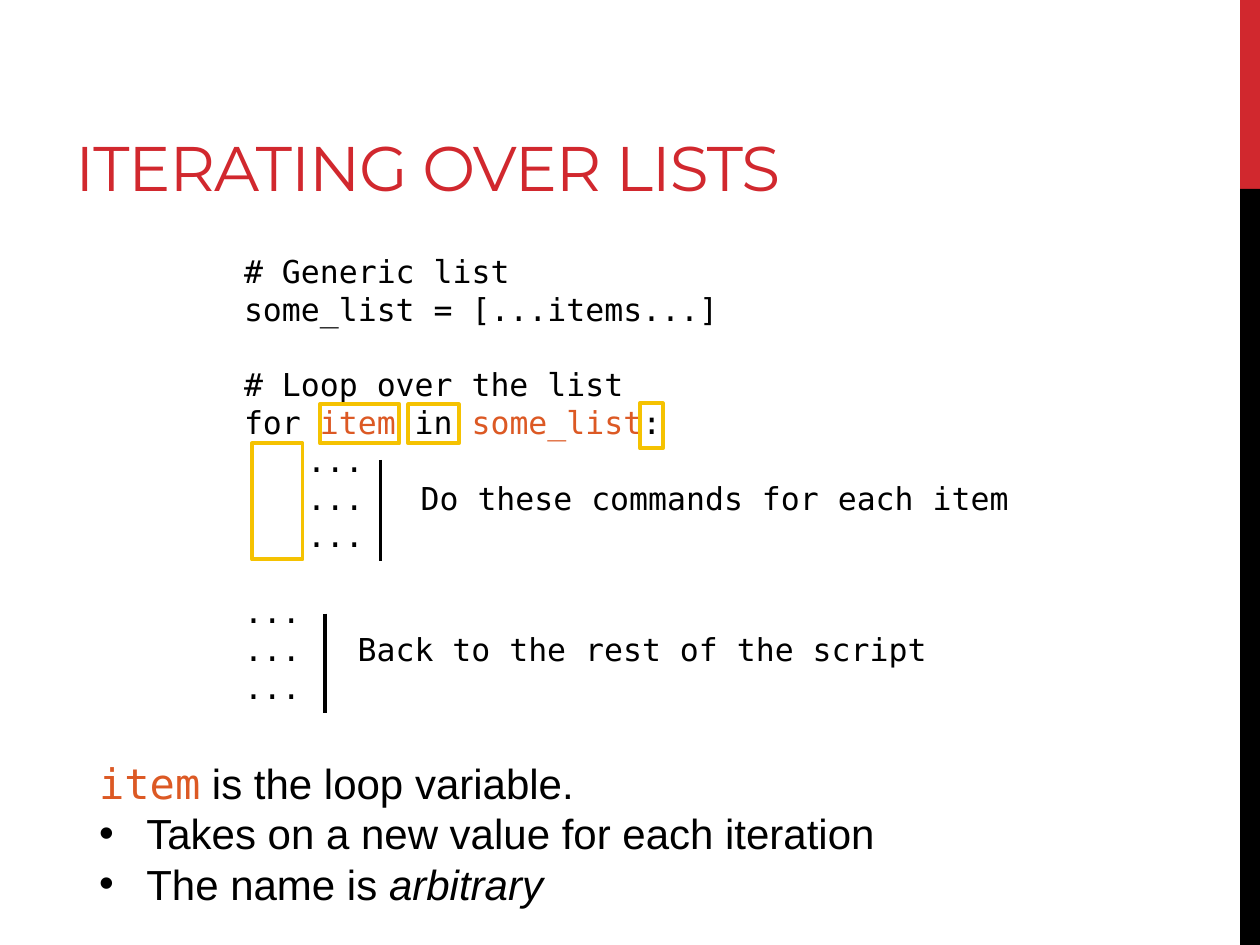
from dataclasses import dataclass

from lxml.etree import SubElement
from pptx import Presentation
from pptx.dml.color import RGBColor as RGB
from pptx.enum.shapes import MSO_CONNECTOR as Connector, MSO_SHAPE as Shape
from pptx.enum.text import MSO_ANCHOR as Anchor
from pptx.oxml.ns import qn
from pptx.util import Cm, Pt


@dataclass(frozen=True)
class Theme:
    red: RGB = RGB(0xD1, 0x28, 0x2E)
    black: RGB = RGB(0, 0, 0)
    orange: RGB = RGB(0xDC, 0x59, 0x24)
    yellow: RGB = RGB(0xF5, 0xC2, 0x01)
    title_font: str = "Montserrat"
    code_font: str = "DejaVu Sans Mono"
    body_font: str = "Arial"
    title_size: float = 36
    code_size: float = 18
    body_size: float = 24
    line_ratio: float = 1.2
    line_width: float = 2.25


class SlideBuilder:
    def __init__(self, slide, theme):
        self.slide = slide
        self.theme = theme

    def bar(self, left, top, width, height, color):
        shape = self.rectangle(left, top, width, height)
        shape.fill.solid()
        shape.fill.fore_color.rgb = color
        shape.line.fill.background()

    def highlight(self, left, top, width, height):
        shape = self.rectangle(left, top, width, height)
        shape.fill.background()
        shape.line.color.rgb = self.theme.yellow
        shape.line.width = Pt(self.theme.line_width)

    def rectangle(self, left, top, width, height):
        shape = self.slide.shapes.add_shape(
            Shape.RECTANGLE, Cm(left), Cm(top), Cm(width), Cm(height))
        shape.shadow.inherit = False
        return shape

    def bracket(self, x, top, bottom):
        line = self.slide.shapes.add_connector(
            Connector.STRAIGHT, Cm(x), Cm(top), Cm(x), Cm(bottom))
        line.line.color.rgb = self.theme.black
        line.line.width = Pt(self.theme.line_width)
        SubElement(line._element.spPr, qn("a:effectLst"))

    def text_box(self, left, top, width, height):
        box = self.slide.shapes.add_textbox(
            Cm(left), Cm(top), Cm(width), Cm(height))
        box.text_frame.word_wrap = True
        return box.text_frame

    def style(self, run, font, size, color):
        run.font.name = font
        run.font.size = Pt(size)
        run.font.color.rgb = color

    def title(self, text, *place):
        frame = self.text_box(*place)
        frame.vertical_anchor = Anchor.BOTTOM
        frame.text = text
        run = frame.paragraphs[0].runs[0]
        self.style(run, self.theme.title_font, self.theme.title_size,
                   self.theme.red)
        run.font._element.set("spc", "-60")

    def paragraph(self, frame, parts, font, size):
        """Add a line of plain strings and (text, font, color, italic) parts."""
        first = frame.paragraphs[0]
        paragraph = frame.add_paragraph() if first.runs else first
        paragraph.line_spacing = Pt(size * self.theme.line_ratio)
        for part in parts:
            if isinstance(part, str):
                part = (part, font, self.theme.black, False)
            text, part_font, color, italic = part
            run = paragraph.add_run()
            run.text = text
            self.style(run, part_font, size, color)
            if italic:
                run.font.italic = True
        return paragraph

    def code(self, blocks, *place):
        """Write blocks of code, one empty line apart; lines carry tab stops."""
        frame = self.text_box(*place)
        size = self.theme.code_size
        for block_number, block in enumerate(blocks):
            for line_number, (parts, tabs) in enumerate(block):
                paragraph = self.paragraph(
                    frame, parts, self.theme.code_font, size)
                if block_number and not line_number:
                    paragraph.space_before = Pt(size * self.theme.line_ratio)
                if tabs:
                    tab_list = SubElement(
                        paragraph._p.get_or_add_pPr(), qn("a:tabLst"))
                    for position in tabs:
                        SubElement(tab_list, qn("a:tab"),
                                   pos=str(Cm(position)), algn="l")

    def bullet_list(self, lead, bullets, *place):
        frame = self.text_box(*place)
        font, size = self.theme.body_font, self.theme.body_size
        self.paragraph(frame, lead, font, size)
        for parts in bullets:
            paragraph = self.paragraph(frame, parts, font, size)
            properties = paragraph._p.get_or_add_pPr()
            indent = Cm(0.95)
            properties.set("marL", str(indent))
            properties.set("indent", str(-indent))
            SubElement(properties, qn("a:buFont"), typeface=font)
            SubElement(properties, qn("a:buChar"), char="•")


def main():
    presentation = Presentation()
    presentation.slide_width, presentation.slide_height = Cm(25.4), Cm(19.05)
    slide = presentation.slides.add_slide(presentation.slide_layouts[6])
    theme = Theme()
    builder = SlideBuilder(slide, theme)

    # Side bars and title
    builder.bar(25, 0, 0.4, 3.81, theme.red)
    builder.bar(25, 3.81, 0.4, 15.24, theme.black)
    builder.title("ITERATING OVER LISTS", 1.27, 0.43, 21.16, 3.81)

    # Code listing
    def variable(text):
        return text, theme.code_font, theme.orange, False

    loop_tabs, rest_tabs = (1.27, 3.56), (2.29,)
    definition = [(["# Generic list"], ()),
                  (["some_list = [...items...]"], ())]
    loop = [(["# Loop over the list"], ()),
            (["for ", variable("item "), "in ", variable("some_list"), ":"],
             ()),
            (["\t..."], loop_tabs),
            (["\t...\tDo these commands for each item"], loop_tabs),
            (["\t..."], loop_tabs)]
    rest = [(["..."], ()),
            (["...\tBack to the rest of the script"], rest_tabs),
            (["..."], ())]
    builder.code([definition, loop, rest], 4.67, 4.95, 20.73, 11.79)

    # Brackets beside the loop body and the rest of the script
    builder.bracket(7.67, 9.27, 11.3)
    builder.bracket(6.55, 12.37, 14.38)

    # Highlights: indentation, "in", colon, loop variable
    for place in [(5.08, 8.94, 1.02, 2.34), (8.23, 8.15, 1.02, 0.79),
                  (12.9, 8.13, 0.46, 0.91), (6.45, 8.15, 1.6, 0.79)]:
        builder.highlight(*place)

    # Explanation
    builder.bullet_list(
        [variable("item"), " is the loop variable."],
        [["Takes on a new value for each iteration"],
         ["The name is ",
          ("arbitrary", theme.body_font, theme.black, True)]],
        1.75, 15.14, 21.34, 3.33)

    presentation.save("out.pptx")


if __name__ == "__main__":
    main()
